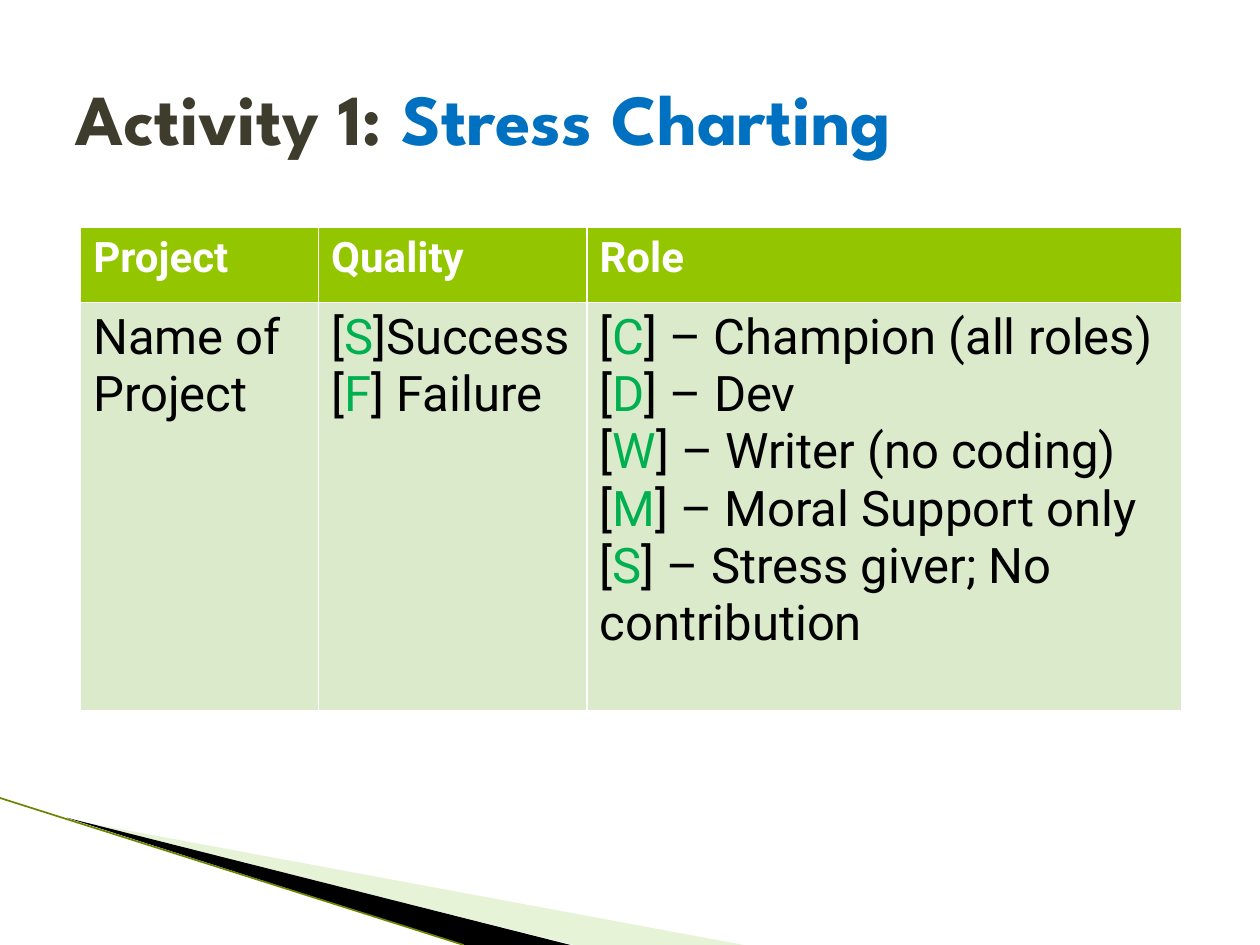
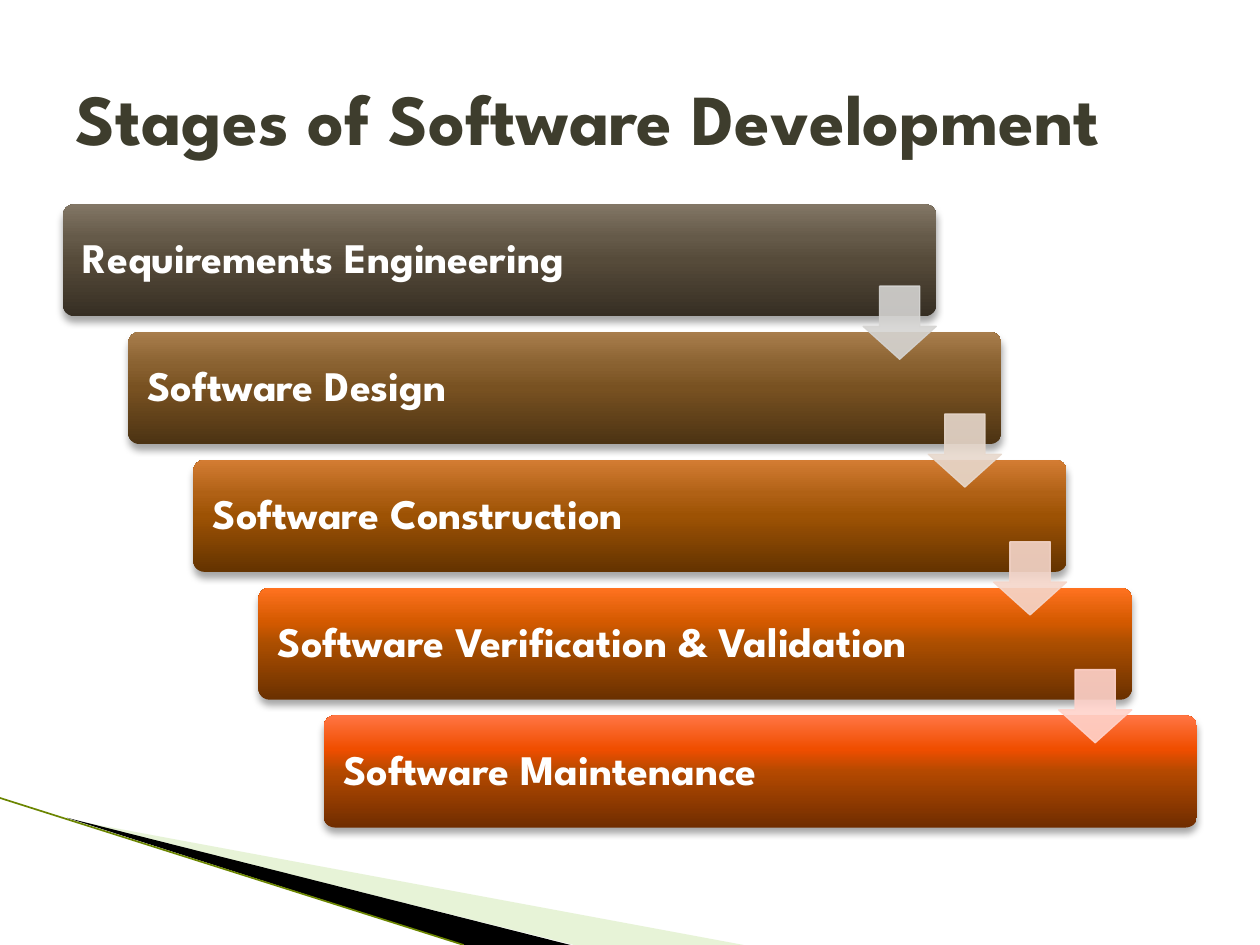
"""Build two slides: a stress charting table and the stages of software development."""
import lxml.etree
import pptx
import pptx.dml.color
import pptx.enum.shapes
import pptx.enum.text
import pptx.oxml.ns
import pptx.util

Pt = pptx.util.Pt
qn = pptx.oxml.ns.qn
SHAPE = pptx.enum.shapes.MSO_SHAPE
LEFT = pptx.enum.text.PP_ALIGN.LEFT
MIDDLE = pptx.enum.text.MSO_ANCHOR.MIDDLE

WHITE, BLACK, DARK = "FFFFFF", "000000", "3E3D2D"
BLUE, GREEN, LIME, PALE = "0070C0", "00B050", "94C600", "DCEACC"

TITLE = {"name": "League Spartan", "size": Pt(41), "bold": True}
STAGE = {"name": "League Spartan", "size": Pt(24), "bold": True}
HEAD = {"name": "Roboto", "size": Pt(24), "bold": True}
BODY = {"name": "Roboto", "size": Pt(28), "bold": False}
FRAME = {"word_wrap": True, "vertical_anchor": MIDDLE,
         "auto_size": pptx.enum.text.MSO_AUTO_SIZE.NONE}

QUALITY = [("S", "]Success"), ("F", "] Failure")]
ROLES = [("C", "] – Champion (all roles)"), ("D", "] – Dev"),
         ("W", "] – Writer (no coding)"), ("M", "] – Moral Support only"),
         ("S", "] – Stress giver; No contribution")]

STAGES = [
    ("Requirements Engineering", ("362E23", "564B3A", "655A49", "827665")),
    ("Software Design", ("4C3313", "785121", "896130", "A87D4C")),
    ("Software Construction", ("643300", "9D5204", "B06115", "D37C33")),
    ("Software Verification & Validation", ("6A3000", "AB4E00", "D55A00", "FF7220")),
    ("Software Maintenance", ("702D00", "B44900", "F04E00", "FF7442")),
]
ARROWS = ("D5D4D2", "E7D8CC", "F5D6CA", "FFD3CB")
STOPS = (0, 50, 70, 100)


def apply(item, values):
    for name, value in values.items():
        setattr(item, name, value)


def paint(fill, color):
    fill.solid()
    fill.fore_color.rgb = pptx.dml.color.RGBColor.from_string(color)


def add_node(parent, tag, **values):
    return lxml.etree.SubElement(parent, qn(tag), values)


def fade(shape, percent):
    for color in shape._element.spPr.iter(qn("a:srgbClr")):
        add_node(color, "a:alpha", val=str(percent * 1000))


def write(para, parts, style):
    for text, color in parts:
        run = para.add_run()
        run.text = text
        apply(run.font, style)
        paint(run.font.fill, color)


def place(shape, left, top, width, height):
    apply(shape, {"left": Pt(left), "top": Pt(top),
                  "width": Pt(width), "height": Pt(height)})


def add_wedge(slide, points, color):
    start, *rest = [(Pt(x), Pt(y)) for x, y in points]
    pen = slide.shapes.build_freeform(*start)
    pen.add_line_segments(rest, close=True)
    wedge = pen.convert_to_shape()
    wedge.shadow.inherit = False
    wedge.line.fill.background()
    paint(wedge.fill, color)
    return wedge


def add_corner(slide):
    pale = add_wedge(slide, [(39.6, 468.4), (425, 540), (328, 540)], "C3E19D")
    fade(pale, 40)
    add_wedge(slide, [(38.2, 467.3), (326, 540), (265, 540)], BLACK)
    edge = slide.shapes.add_connector(
        pptx.enum.shapes.MSO_CONNECTOR.STRAIGHT, 0, Pt(456), Pt(265), Pt(540))
    edge.line.width = Pt(0.95)
    paint(edge.line.fill, "6B8500")
    add_node(edge._element.spPr, "a:effectLst")


def add_slide(deck, parts, width):
    slide = deck.slides.add_slide(deck.slide_layouts.get_by_name("Title Only"))
    add_corner(slide)
    title = slide.shapes.title
    place(title, 36, 21.6, width, 90)
    apply(title.text_frame, FRAME)
    para = title.text_frame.paragraphs[0]
    para.alignment = LEFT
    write(para, parts, TITLE)
    return slide


def fill_cell(cell, lines, style, color):
    paint(cell.fill, color)
    frame = cell.text_frame
    for index, parts in enumerate(lines):
        para = frame.add_paragraph() if index else frame.paragraphs[0]
        write(para, parts, style)


def key_lines(keys):
    return [[("[", BLACK), (key, GREEN), (rest, BLACK)] for key, rest in keys]


def add_chart_table(slide):
    widths, heights = (136, 153.4, 339.8), (43.2, 233.3)
    table = slide.shapes.add_table(
        2, 3, Pt(46.1), Pt(129.6), Pt(sum(widths)), Pt(sum(heights))).table
    for column, width in zip(table.columns, widths):
        column.width = Pt(width)
    for row, height in zip(table.rows, heights):
        row.height = Pt(height)
    bodies = ([[("Name of Project", BLACK)]], key_lines(QUALITY), key_lines(ROLES))
    for col, (name, lines) in enumerate(zip(("Project", "Quality", "Role"), bodies)):
        fill_cell(table.cell(0, col), [[(name, WHITE)]], HEAD, LIME)
        fill_cell(table.cell(1, col), lines, BODY, PALE)


def add_shade(shape, colors):
    shape.fill.gradient()
    shape.fill.gradient_angle = 90
    stops = shape._element.spPr.find(".//" + qn("a:gsLst"))
    for stop in list(stops):
        stops.remove(stop)
    for spot, color in zip(STOPS, colors):
        stop = add_node(stops, "a:gs", pos=str(spot * 1000))
        add_node(stop, "a:srgbClr", val=color)


def add_shadow(shape):
    effects = shape._element.spPr.find(qn("a:effectLst"))
    shadow = add_node(effects, "a:outerShdw", blurRad=str(Pt(4)), dist=str(Pt(3)),
                      dir="5400000", rotWithShape="0")
    color = add_node(shadow, "a:srgbClr", val=BLACK)
    add_node(color, "a:alpha", val="35000")


def add_bar(slide, left, top, text, colors):
    bar = slide.shapes.add_shape(
        SHAPE.ROUNDED_RECTANGLE, Pt(left), Pt(top), Pt(499), Pt(64))
    bar.adjustments[0] = 0.1
    bar.shadow.inherit = False
    bar.line.fill.background()
    add_shade(bar, colors)
    add_shadow(bar)
    frame = bar.text_frame
    apply(frame, FRAME | {"margin_left": Pt(9.2)})
    para = frame.paragraphs[0]
    apply(para, {"alignment": LEFT, "line_spacing": 0.9})
    write(para, [(text, WHITE)], STAGE)


def add_arrow(slide, left, top, color):
    arrow = slide.shapes.add_shape(
        SHAPE.DOWN_ARROW, Pt(left), Pt(top), Pt(41.8), Pt(41.8))
    arrow.adjustments[0] = 0.55
    arrow.adjustments[1] = 0.45
    arrow.shadow.inherit = False
    arrow.line.width = Pt(0.75)
    paint(arrow.fill, color)
    paint(arrow.line.fill, color)
    fade(arrow, 90)


def add_stairs(slide):
    spots = [(36 + 37.25 * step, 116.7 + 73.05 * step) for step in range(len(STAGES))]
    for (left, top), (text, colors) in zip(spots, STAGES):
        add_bar(slide, left, top, text, colors)
    for (left, top), color in zip(spots, ARROWS):
        add_arrow(slide, left + 457.2, top + 46.8, color)


def main():
    deck = pptx.Presentation()
    apply(deck, {"slide_width": Pt(720), "slide_height": Pt(540)})
    chart = add_slide(deck, [("Activity 1: ", DARK), ("Stress Charting", BLUE)], 648)
    add_chart_table(chart)
    stages = add_slide(deck, [("Stages of Software Development", DARK)], 664)
    add_stairs(stages)
    deck.save("out.pptx")


if __name__ == "__main__":
    main()
